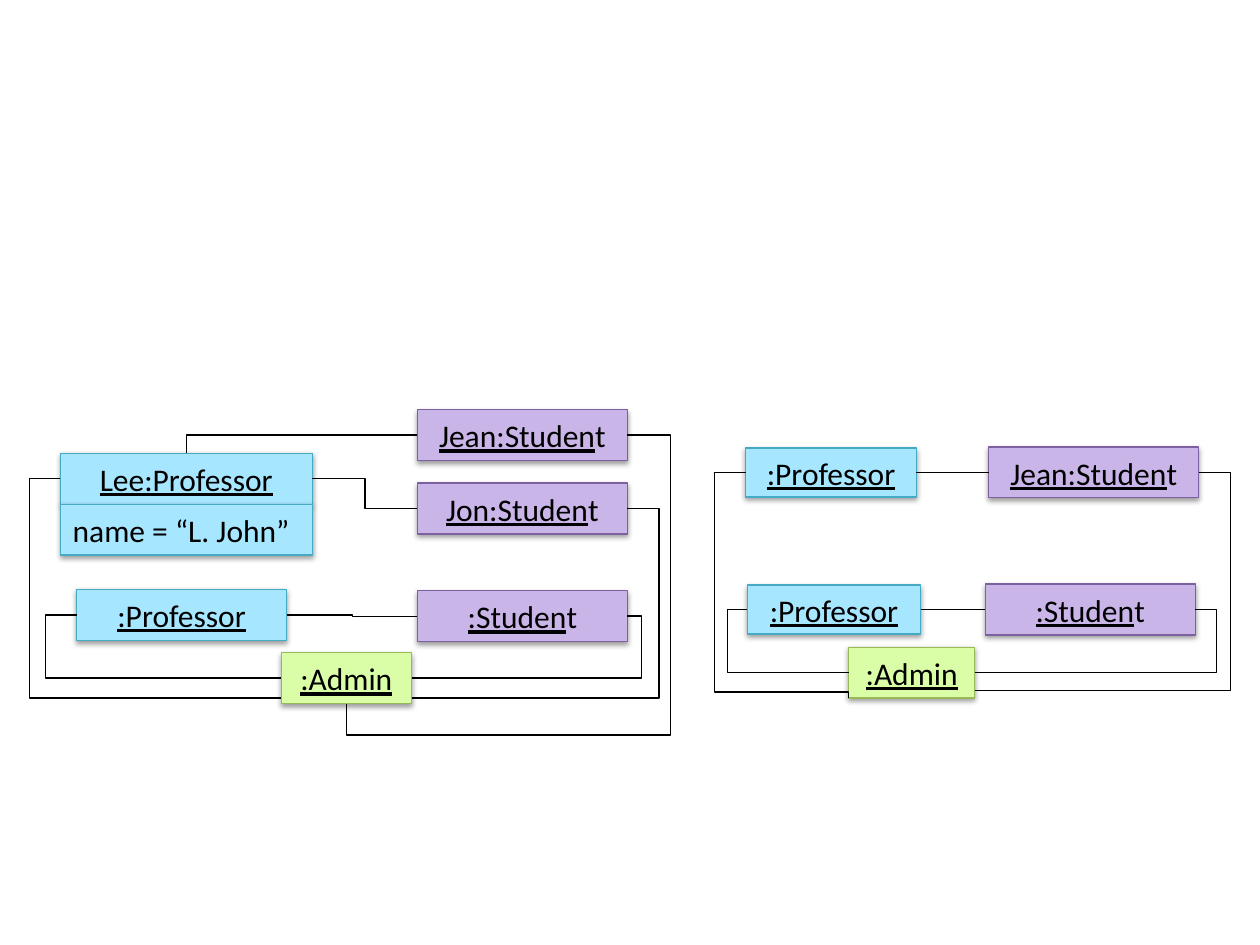
from dataclasses import dataclass

from lxml.etree import SubElement
from pptx import Presentation
from pptx.dml.color import RGBColor
from pptx.enum.shapes import MSO_CONNECTOR, MSO_SHAPE
from pptx.enum.text import MSO_ANCHOR, MSO_AUTO_SIZE, PP_ALIGN
from pptx.oxml.ns import qn
from pptx.util import Pt

TOP, LEFT, BOTTOM, RIGHT = range(4)


@dataclass(frozen=True)
class Theme:
    font: str = "Calibri"
    text_size: float = 18
    line_width: float = 0.75
    ink: str = "000000"
    # Fill and outline of each class of object
    professor: tuple = ("A7E6FF", "46AAC5")
    student: tuple = ("C9B5E8", "7D60A0")
    admin: tuple = ("DAFDA7", "98B955")


THEME = Theme()
BOX_HEIGHT = 29.08
STUDENT_WIDTH = 120


def color(value):
    return RGBColor.from_string(value)


def add_run(paragraph, text, underline=False):
    run = paragraph.add_run()
    run.text = text
    run.font.name = THEME.font
    run.font.size = Pt(THEME.text_size)
    run.font.color.rgb = color(THEME.ink)
    run.font.underline = underline


def write_text(shape, text, plain_tail="", underline=True, align=PP_ALIGN.CENTER):
    frame = shape.text_frame
    frame.word_wrap = True
    frame.auto_size = MSO_AUTO_SIZE.SHAPE_TO_FIT_TEXT
    frame.vertical_anchor = MSO_ANCHOR.MIDDLE
    paragraph = frame.paragraphs[0]
    paragraph.alignment = align
    add_run(paragraph, text, underline)
    if plain_tail:
        add_run(paragraph, plain_tail)


def add_soft_shadow(shape):
    shape.shadow.inherit = False
    effects = shape._element.spPr.find(qn("a:effectLst"))
    shadow = SubElement(effects, qn("a:outerShdw"), blurRad=str(Pt(3.15)),
                        dist=str(Pt(1.57)), dir="5400000", rotWithShape="0")
    shade = SubElement(shadow, qn("a:srgbClr"), val=THEME.ink)
    SubElement(shade, qn("a:alpha"), val="38000")


def add_box(slide, colors, left, middle, width, text, height=BOX_HEIGHT, **text_format):
    """Add an object box, placed by its left edge and vertical middle."""
    shape = slide.shapes.add_shape(MSO_SHAPE.RECTANGLE, Pt(left), Pt(middle - height / 2),
                                   Pt(width), Pt(height))
    fill, outline = colors
    shape.fill.solid()
    shape.fill.fore_color.rgb = color(fill)
    shape.line.color.rgb = color(outline)
    shape.line.width = Pt(THEME.line_width)
    add_soft_shadow(shape)
    write_text(shape, text, **text_format)
    return shape


def add_student(slide, left, middle, name=""):
    return add_box(slide, THEME.student, left, middle, STUDENT_WIDTH,
                   f"{name}:Studen", plain_tail="t")


def add_link(slide, begin, end, kind=MSO_CONNECTOR.STRAIGHT):
    """Link two ends, each a (shape, side) pair or a free (x, y) point."""
    link = slide.shapes.add_connector(kind, 0, 0, 0, 0)
    if isinstance(begin[0], (int, float)):
        link.begin_x, link.begin_y = map(Pt, begin)
    else:
        link.begin_connect(*begin)
    if isinstance(end[0], (int, float)):
        link.end_x, link.end_y = map(Pt, end)
    else:
        link.end_connect(*end)
    link.line.color.rgb = color(THEME.ink)
    link.line.width = Pt(THEME.line_width)
    SubElement(link._element.spPr, qn("a:effectLst"))
    return link


def add_bent_link(slide, begin, end, x=None, y=None):
    """Add an elbow link that turns at x and then, if given, at y."""
    link = add_link(slide, begin, end, MSO_CONNECTOR.ELBOW)
    ratios = []
    if x is not None:
        ratios.append((Pt(x) - link.begin_x) / (link.end_x - link.begin_x))
    if y is not None:
        ratios.append((Pt(y) - link.begin_y) / (link.end_y - link.begin_y))
    geometry = link._element.spPr.find(qn("a:prstGeom"))
    geometry.set("prst", f"bentConnector{len(ratios) + 2}")
    guides = geometry.find(qn("a:avLst"))
    for number, ratio in enumerate(ratios, 1):
        SubElement(guides, qn("a:gd"), name=f"adj{number}", fmla=f"val {round(ratio * 100000)}")


def add_named_diagram(slide):
    # Objects
    lee = add_box(slide, THEME.professor, 34.5, 273.6, 144, "Lee:Professor")
    add_box(slide, THEME.professor, 34.5, 273.6 + BOX_HEIGHT, 144, "name = “L. John”",
            underline=False, align=PP_ALIGN.LEFT)
    professor = add_box(slide, THEME.professor, 43.8, 351.4, 120, ":Professor")
    jean = add_student(slide, 238.5, 248.6, "Jean")
    jon = add_student(slide, 238.5, 290.6, "Jon")
    student = add_student(slide, 238.5, 352.1)
    admin = add_box(slide, THEME.admin, 160.7, 387.5, 74.5, ":Admin")

    # Professors to students
    add_bent_link(slide, (jean, LEFT), (lee, TOP))
    add_bent_link(slide, (lee, RIGHT), (jon, LEFT), x=208.6)
    add_bent_link(slide, (professor, RIGHT), (student, LEFT), x=201.2)

    # Everyone to the admin
    add_bent_link(slide, (professor, LEFT), (admin, LEFT), x=26)
    add_bent_link(slide, (lee, LEFT), (160.7, 398.8), x=16.8)
    add_bent_link(slide, (admin, RIGHT), (student, RIGHT), x=366.6)
    add_bent_link(slide, (235.2, 398.8), (jon, RIGHT), x=376.6)
    add_bent_link(slide, (jean, RIGHT), (admin, BOTTOM), x=383, y=420)


def add_short_diagram(slide):
    # Objects
    upper_professor = add_box(slide, THEME.professor, 426.2, 270, 97.5, ":Professor", height=28)
    lower_professor = add_box(slide, THEME.professor, 427, 348.3, 99.2, ":Professor", height=28)
    jean = add_student(slide, 565, 270, "Jean")
    student = add_student(slide, 563, 348.3)
    admin = add_box(slide, THEME.admin, 485, 384.4, 72, ":Admin")

    # Professors to students
    add_link(slide, (upper_professor, RIGHT), (jean, LEFT))
    add_link(slide, (lower_professor, RIGHT), (student, LEFT))

    # Everyone to the admin
    add_bent_link(slide, (lower_professor, LEFT), (admin, LEFT), x=415.6)
    add_bent_link(slide, (upper_professor, LEFT), (485, 398.9), x=408.2, y=395.4)
    add_bent_link(slide, (admin, RIGHT), (student, RIGHT), x=695)
    add_bent_link(slide, (jean, RIGHT), (557, 394.5), x=703)


def main():
    presentation = Presentation()
    presentation.slide_width, presentation.slide_height = Pt(720), Pt(540)
    slide = presentation.slides.add_slide(presentation.slide_layouts[6])
    add_named_diagram(slide)
    add_short_diagram(slide)
    presentation.save("out.pptx")


if __name__ == "__main__":
    main()
